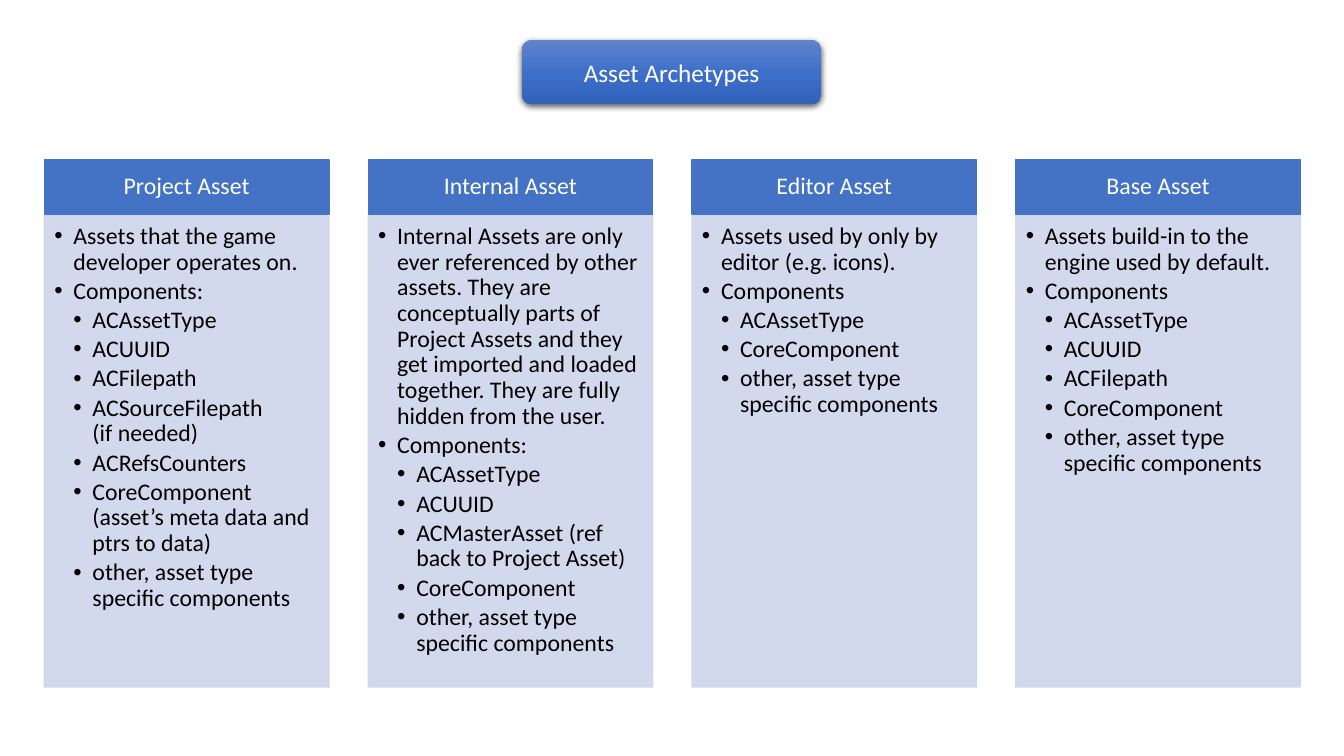
"""Build the slide that compares the four asset archetypes."""
from copy import deepcopy

from lxml.etree import SubElement
from pptx import Presentation
from pptx.dml.color import RGBColor
from pptx.enum.shapes import MSO_SHAPE
from pptx.enum.text import MSO_ANCHOR, MSO_AUTO_SIZE, PP_ALIGN
from pptx.oxml.ns import qn
from pptx.util import Cm, Pt

TITLE = "Asset Archetypes"
OTHER = "other, asset type specific components"
ARCHETYPES = [
    ("Project Asset", "Assets that the game developer operates on.", "Components:",
     ["ACAssetType", "ACUUID", "ACFilepath", "ACSourceFilepath\n(if needed)",
      "ACRefsCounters", "CoreComponent\n(asset’s meta data and ptrs to data)", OTHER]),
    ("Internal Asset",
     "Internal Assets are only ever referenced by other assets. They are conceptually "
     "parts of Project Assets and they get imported and loaded together. They are fully "
     "hidden from the user.", "Components:",
     ["ACAssetType", "ACUUID", "ACMasterAsset (ref back to Project Asset)",
      "CoreComponent", OTHER]),
    ("Editor Asset", "Assets used by only by editor (e.g. icons).", "Components",
     ["ACAssetType", "CoreComponent", OTHER]),
    ("Base Asset", "Assets build-in to the engine used by default.", "Components",
     ["ACAssetType", "ACUUID", "ACFilepath", "CoreComponent", OTHER]),
]
COLORS = {"header": "4472C4", "panel": "CFD5EA", "light": "FFFFFF", "ink": "000000",
          "top": "6183CB", "middle": "3E70CA", "bottom": "3062BB"}
FONT = "Calibri"
BADGE = (Cm(13.15), Cm(1), Cm(7.55), Cm(1.63))
FIRST_LEFT, COLUMN_STEP, COLUMN_WIDTH = Cm(1.12), Cm(8.16), Cm(7.17)
HEADER_TOP, HEADER_HEIGHT = Cm(4.03), Cm(1.36)
PANEL_HEIGHT = Cm(11.92)
INDENT = Cm(0.48)


def rgb(name):
    return RGBColor.from_string(COLORS[name])


def place(shape, left, top, width, height):
    shape.left, shape.top, shape.width, shape.height = left, top, width, height


def set_frame(frame, anchor, insets):
    frame.word_wrap = True
    frame.auto_size = MSO_AUTO_SIZE.NONE
    frame.vertical_anchor = anchor
    (frame.margin_left, frame.margin_top,
     frame.margin_right, frame.margin_bottom) = map(Cm, insets)


def set_font(paragraph, size, color):
    font = paragraph.font
    font.name, font.size, font.bold = FONT, Pt(size), False
    font.color.rgb = rgb(color)


def paint(shape, color):
    shape.fill.solid()
    shape.fill.fore_color.rgb = rgb(color)
    shape.line.color.rgb = rgb(color)
    shape.line.width = Pt(1)


def add_badge(slide):
    badge = slide.shapes.add_shape(MSO_SHAPE.ROUNDED_RECTANGLE, *BADGE)
    badge.line.fill.background()
    badge.fill.gradient()
    badge.fill.gradient_angle = 270
    stop_list = badge._element.spPr.find(".//" + qn("a:gsLst"))
    stop_list.insert(1, deepcopy(stop_list[0]))
    for stop, position, color in zip(badge.fill.gradient_stops, (0, 0.5, 1),
                                     ("top", "middle", "bottom")):
        stop.position = position
        stop.color.rgb = rgb(color)
    badge.shadow.inherit = False
    effects = badge._element.spPr.find(qn("a:effectLst"))
    shadow = SubElement(effects, qn("a:outerShdw"), blurRad=str(Pt(4.5)),
                        dist=str(Pt(1.5)), dir="5400000", algn="ctr", rotWithShape="0")
    shade = SubElement(shadow, qn("a:srgbClr"), val=COLORS["ink"])
    SubElement(shade, qn("a:alpha"), val="63000")
    slide.shapes._spTree.insert(2, badge._element)


def fill_title(title):
    place(title, *BADGE)
    set_frame(title.text_frame, MSO_ANCHOR.MIDDLE, (0.25, 0.13, 0.25, 0.13))
    title.text_frame.text = TITLE
    heading = title.text_frame.paragraphs[0]
    heading.alignment = PP_ALIGN.CENTER
    set_font(heading, 18, "light")


def add_header(slide, left, name):
    header = slide.shapes.add_shape(MSO_SHAPE.RECTANGLE, left, HEADER_TOP,
                                    COLUMN_WIDTH, HEADER_HEIGHT)
    header.shadow.inherit = False
    paint(header, "header")
    set_frame(header.text_frame, MSO_ANCHOR.MIDDLE, (0.34, 0.2, 0.34, 0.2))
    label = header.text_frame.paragraphs[0]
    label.text = name
    label.alignment = PP_ALIGN.CENTER
    label.line_spacing = 0.9
    set_font(label, 17, "light")


def fill_panel(panel, left, items):
    place(panel, left, HEADER_TOP + HEADER_HEIGHT, COLUMN_WIDTH, PANEL_HEIGHT)
    paint(panel, "panel")
    for color in panel._element.spPr.iter(qn("a:srgbClr")):
        SubElement(color, qn("a:alpha"), val="90000")
    frame = panel.text_frame
    set_frame(frame, MSO_ANCHOR.TOP, (0.25, 0.25, 0.34, 0.38))
    for index, (level, text) in enumerate(items):
        item = frame.add_paragraph() if index else frame.paragraphs[0]
        item.text = text
        item.level = level
        properties = item._p.get_or_add_pPr()
        properties.set("marL", str(INDENT * (level + 1)))
        properties.set("indent", str(-INDENT))
        SubElement(properties, qn("a:buFont"), typeface="Arial")
        SubElement(properties, qn("a:buChar"), char="•")
        item.alignment = PP_ALIGN.LEFT
        item.line_spacing = 0.9
        item.space_before = Pt(0)
        item.space_after = Pt(2.5)
        set_font(item, 17, "ink")


def main():
    presentation = Presentation()
    presentation.slide_width, presentation.slide_height = Cm(33.87), Cm(19.05)
    comparison = presentation.slide_layouts.get_by_name("Comparison")
    slide = presentation.slides.add_slide(comparison)
    add_badge(slide)
    fill_title(slide.shapes.title)
    panels = [shape for shape in slide.placeholders if shape.placeholder_format.idx]
    for column, (panel, archetype) in enumerate(zip(panels, ARCHETYPES)):
        name, purpose, components_label, components = archetype
        left = FIRST_LEFT + column * COLUMN_STEP
        add_header(slide, left, name)
        items = [(0, purpose), (0, components_label)]
        items += [(1, component) for component in components]
        fill_panel(panel, left, items)
    presentation.save("out.pptx")


if __name__ == "__main__":
    main()
